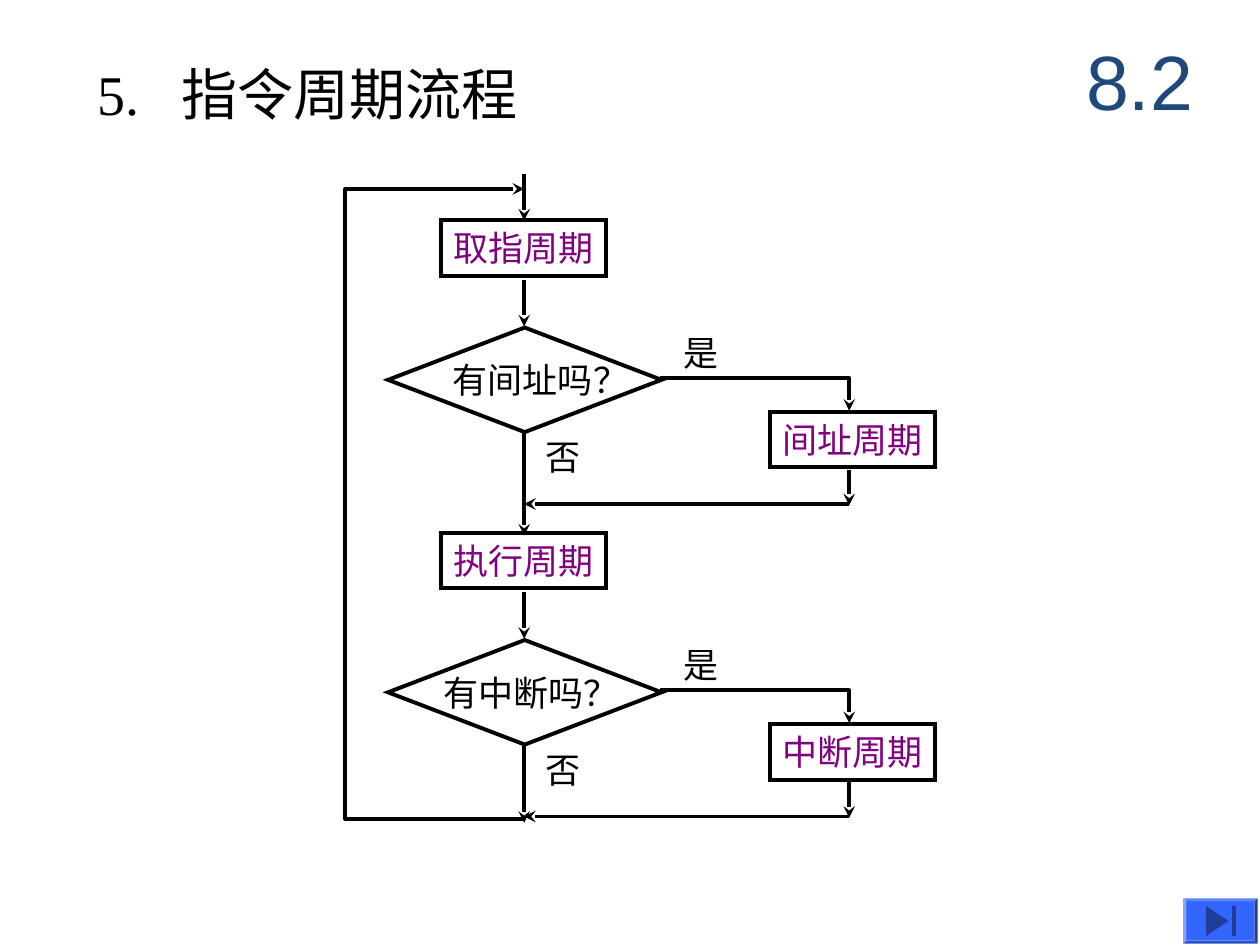
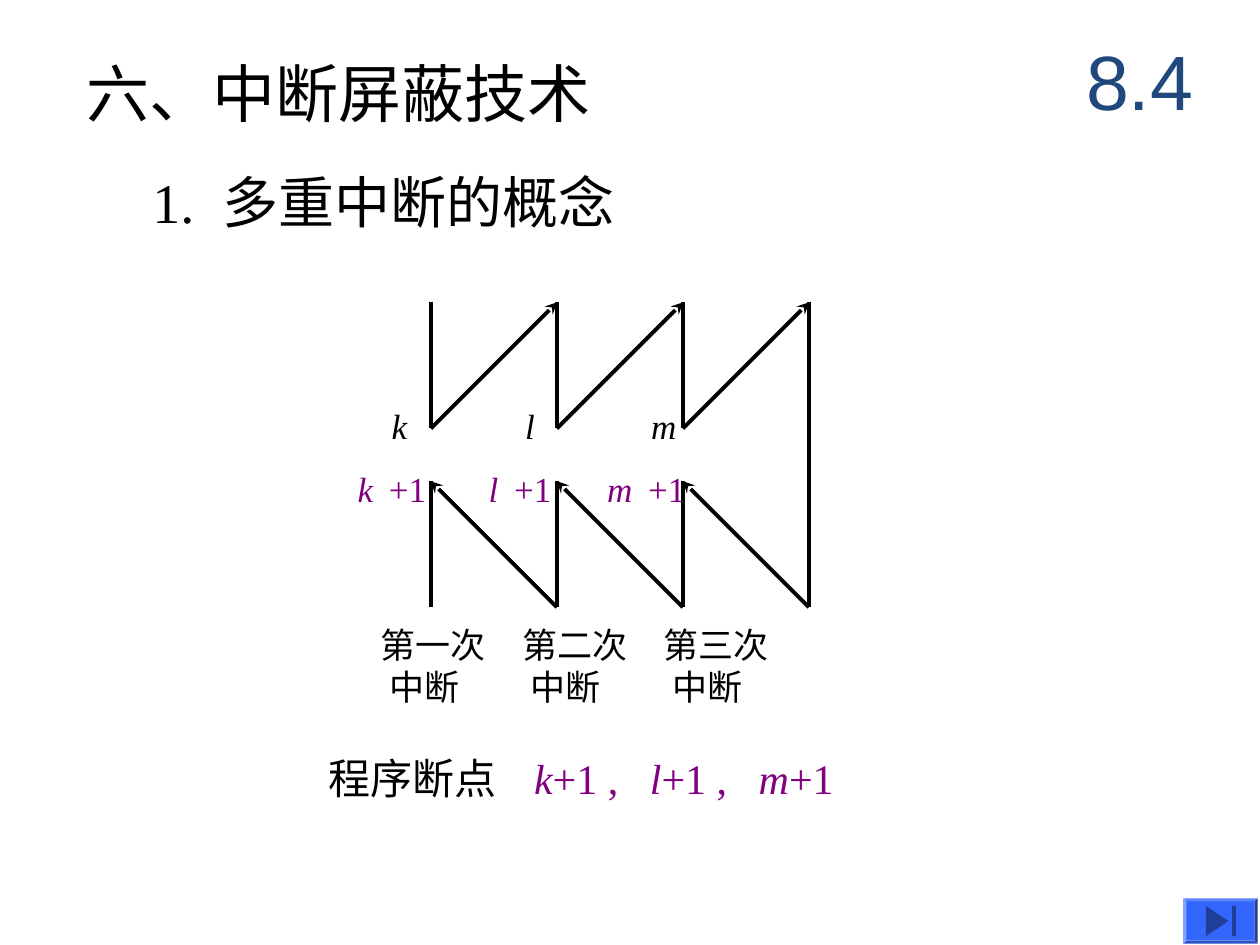
from dataclasses import dataclass

from lxml.etree import SubElement
from pptx import Presentation
from pptx.dml.color import RGBColor
from pptx.enum.shapes import MSO_CONNECTOR, MSO_SHAPE
from pptx.enum.text import MSO_ANCHOR, MSO_AUTO_SIZE, PP_ALIGN
from pptx.oxml.ns import qn
from pptx.util import Inches, Pt

COLORS = {"ink": "000000", "accent": "800080", "section": "1F497D",
          "button": "3366FF", "icon": "1F3D99"}
SERIF, SANS = "Times New Roman", "Arial"
LINE_PT = 2.25
PADDING = (0.1, 0.05, 0.1, 0.05)


@dataclass
class Run:
    text: str
    color: str = "ink"
    italic: bool = False
    spacing: int = 0  # extra points after each character


@dataclass
class Style:
    size: float = 20
    font: str = SERIF
    align: PP_ALIGN = PP_ALIGN.LEFT
    anchor: MSO_ANCHOR = MSO_ANCHOR.TOP
    padding: tuple = PADDING
    wrap: bool = False


@dataclass
class Box:
    left: float
    top: float
    width: float
    height: float

    def emu(self) -> list:
        return [Inches(v) for v in (self.left, self.top, self.width, self.height)]


def rgb(name: str) -> RGBColor:
    return RGBColor.from_string(COLORS[name])


def set_all(obj, values: dict) -> None:
    for name, value in values.items():
        setattr(obj, name, value)


# Text
def gap(points: int) -> Run:
    """One space, widened by the given number of points."""
    return Run(" ", spacing=points)


def write(shape, lines: list, style: Style, indents: tuple = ()) -> None:
    """Fill a shape with paragraphs, each one a list of runs."""
    tf = shape.text_frame
    sides = ("left", "top", "right", "bottom")
    set_all(tf, {"auto_size": MSO_AUTO_SIZE.NONE, "word_wrap": style.wrap,
                 "vertical_anchor": style.anchor,
                 **{f"margin_{side}": Inches(v)
                    for side, v in zip(sides, style.padding)}})
    for i, runs in enumerate(lines):
        p = tf.paragraphs[0] if i == 0 else tf.add_paragraph()
        pPr = p._p.get_or_add_pPr()
        pPr.set("marL", str(Inches(indents[i] if indents else 0)))
        pPr.set("indent", "0")
        SubElement(pPr, qn("a:buNone"))
        set_all(p, {"alignment": style.align, "space_before": Pt(0)})
        for run in runs:
            r = p.add_run()
            r.text = run.text
            set_all(r.font, {"size": Pt(style.size), "name": style.font,
                             "italic": run.italic})
            r.font.color.rgb = rgb(run.color)
            if run.spacing:
                r._r.get_or_add_rPr().set("spc", str(run.spacing * 100))


def add_text(s, box: Box, lines: list, style: Style = Style(),
             indents: tuple = ()) -> None:
    write(s.shapes.add_textbox(*box.emu()), lines, style, indents)


def fill_placeholder(ph, box: Box, runs: list, style: Style) -> None:
    set_all(ph, dict(zip(("left", "top", "width", "height"), box.emu())))
    write(ph, [runs], style)


# Shapes and lines
def stroke(line, arrow: bool = False) -> None:
    line.color.rgb = rgb("ink")
    line.width = Pt(LINE_PT)
    if arrow:
        SubElement(line._get_or_add_ln(), qn("a:tailEnd"), type="stealth")


def add_outline(s, kind: MSO_SHAPE, box: Box):
    sp = s.shapes.add_shape(kind, *box.emu())
    sp.shadow.inherit = False
    sp.fill.background()
    stroke(sp.line)
    SubElement(sp.line._get_or_add_ln(), qn("a:miter"), lim="800000")
    return sp


def add_line(s, *points: tuple, arrow: bool = True) -> None:
    """Draw a straight connector, or an open polyline for more points."""
    pts = [(Inches(x), Inches(y)) for x, y in points]
    if len(pts) == 2:
        line = s.shapes.add_connector(MSO_CONNECTOR.STRAIGHT, *pts[0], *pts[1])
        stroke(line.line, arrow)
        SubElement(line._element.spPr, qn("a:effectLst"))
        return
    builder = s.shapes.build_freeform(*pts[0])
    builder.add_line_segments(pts[1:], close=False)
    sp = builder.convert_to_shape()
    sp.shadow.inherit = False
    sp.fill.background()
    stroke(sp.line, arrow)


def add_solid(sp, color: str) -> None:
    sp.shadow.inherit = False
    sp.fill.solid()
    sp.fill.fore_color.rgb = rgb(color)
    sp.line.fill.background()


# Parts shared by both slides
def new_slide(prs, layout: int, section: str, title: list, box: Box, size: int):
    s = prs.slides.add_slide(prs.slide_layouts[layout])
    fill_placeholder(s.shapes.title, box, title, Style(size, wrap=True))
    add_text(s, Box(8.42, 0.17, 1.25, 0.92), [[Run(section, "section")]],
             Style(44, SANS, PP_ALIGN.CENTER, MSO_ANCHOR.MIDDLE, wrap=True))
    button = s.shapes.add_shape(MSO_SHAPE.BEVEL, *Box(9.39, 7.13, 0.59, 0.36).emu())
    button.adjustments[0] = 0.07
    add_solid(button, "button")
    triangle = s.shapes.build_freeform(Inches(9.57), Inches(7.19))
    triangle.add_line_segments([(Inches(9.75), Inches(7.31)),
                                (Inches(9.57), Inches(7.43))])
    add_solid(triangle.convert_to_shape(), "icon")
    bar = s.shapes.add_shape(MSO_SHAPE.RECTANGLE, *Box(9.78, 7.19, 0.03, 0.24).emu())
    add_solid(bar, "icon")
    return s


# Slide 1: instruction cycle flowchart
@dataclass
class Stage:
    top: float
    cycle: str
    question: str
    branch: str
    shift: float


def build_flowchart(prs) -> None:
    s = new_slide(prs, 5, "8.2", [Run("5."), gap(16), Run("指令周期流程")],
                  Box(0.67, 0.42, 6.25, 0.64), 32)
    main_x, side_x, loop_x = 4.16, 6.74, 2.74
    stages = [Stage(1.75, "取指周期", "有间址吗？", "间址周期", 0.25),
              Stage(4.23, "执行周期", "有中断吗？", "中断周期", 0.1)]

    def add_cycle(left: float, top: float, text: str) -> None:
        sp = add_outline(s, MSO_SHAPE.RECTANGLE, Box(left, top, 1.31, 0.44))
        write(sp, [[Run(text, "accent")]], Style())

    for stage in stages:
        top = stage.top
        add_cycle(3.5, top, stage.cycle)
        add_line(s, (main_x, top + 0.47), (main_x, top + 0.84))
        diamond = add_outline(s, MSO_SHAPE.DIAMOND,
                              Box(3.08, top + 0.85, 2.17, 0.83))
        write(diamond, [[Run(stage.question)]],
              Style(align=PP_ALIGN.CENTER, anchor=MSO_ANCHOR.MIDDLE,
                    padding=(stage.shift, 0, 0, 0)))
        # Yes: detour through the extra cycle
        add_line(s, (5.24, top + 1.25), (side_x, top + 1.25), (side_x, top + 1.51))
        add_text(s, Box(5.33, top + 0.83, 0.48, 0.44), [[Run("是")]])
        add_cycle(6.11, top + 1.52, stage.branch)
        add_line(s, (side_x, top + 1.98), (side_x, top + 2.26))
        add_line(s, (side_x, top + 2.25), (main_x, top + 2.25))
        # No: straight on
        add_text(s, Box(4.23, top + 1.66, 0.48, 0.44), [[Run("否")]])

    add_line(s, (main_x, 1.38), (main_x, 1.75))
    add_line(s, (main_x, 3.44), (main_x, 4.25))
    add_line(s, (main_x, 5.92), (main_x, 6.53))
    add_line(s, (main_x, 6.5), (loop_x, 6.5), (loop_x, 1.5), (main_x, 1.5))


# Slide 2: nested interrupts
@dataclass
class Interrupt:
    name: str
    order: str
    call_x: float
    return_x: float


def build_interrupts(prs) -> None:
    s = new_slide(prs, 1, "8.4", [Run("六、中断屏蔽技术")],
                  Box(0.59, 0.38, 5, 0.7), 36)
    fill_placeholder(s.placeholders[1], Box(1.21, 1.36, 4.5, 0.47),
                     [Run("1."), gap(8), Run("多重中断的概念")],
                     Style(32, anchor=MSO_ANCHOR.MIDDLE, padding=(0, 0, 0, 0),
                           wrap=True))
    interrupts = [Interrupt("k", "一", 3.01, 2.74),
                  Interrupt("l", "二", 4.07, 3.78),
                  Interrupt("m", "三", 5.07, 4.72)]
    start, call_y, break_y, resume_y, end_y = 3.42, 2.4, 3.4, 3.82, 4.82

    for i, item in enumerate(interrupts):
        x = start + i
        add_line(s, (x, call_y), (x, break_y), arrow=False)
        add_line(s, (x, break_y), (x + 1, call_y))
        add_line(s, (x + 1, end_y), (x, resume_y))
        add_line(s, (x, resume_y), (x, end_y), arrow=False)
        add_text(s, Box(item.call_x, 3.16, 0.4, 0.44),
                 [[Run(item.name, italic=True)]], Style(wrap=True))
        add_text(s, Box(item.return_x, 3.66, 1, 0.44),
                 [[Run(item.name, "accent", True), gap(4), Run("+1", "accent")]],
                 Style(wrap=True))
        add_text(s, Box(2.92 + 1.125 * i, 4.9, 1.03, 0.77),
                 [[Run(f"第{item.order}次")], [Run("中断")]], indents=(0, 0.07))
    last_x = start + len(interrupts)
    add_line(s, (last_x, call_y), (last_x, end_y), arrow=False)

    # Breakpoint summary
    summary = [Run("程序断点"), gap(16)]
    for item in interrupts:
        summary += [Run(item.name, "accent", True), Run("+1", "accent")]
        if item is not interrupts[-1]:
            summary += [Run(" ,", "accent"), gap(12)]
    add_text(s, Box(2.51, 5.92, 4.82, 0.5), [summary], Style(24, wrap=True))


def main() -> None:
    prs = Presentation()
    set_all(prs, {"slide_width": Inches(10), "slide_height": Inches(7.5)})
    build_flowchart(prs)
    build_interrupts(prs)
    prs.save("out.pptx")


if __name__ == "__main__":
    main()
